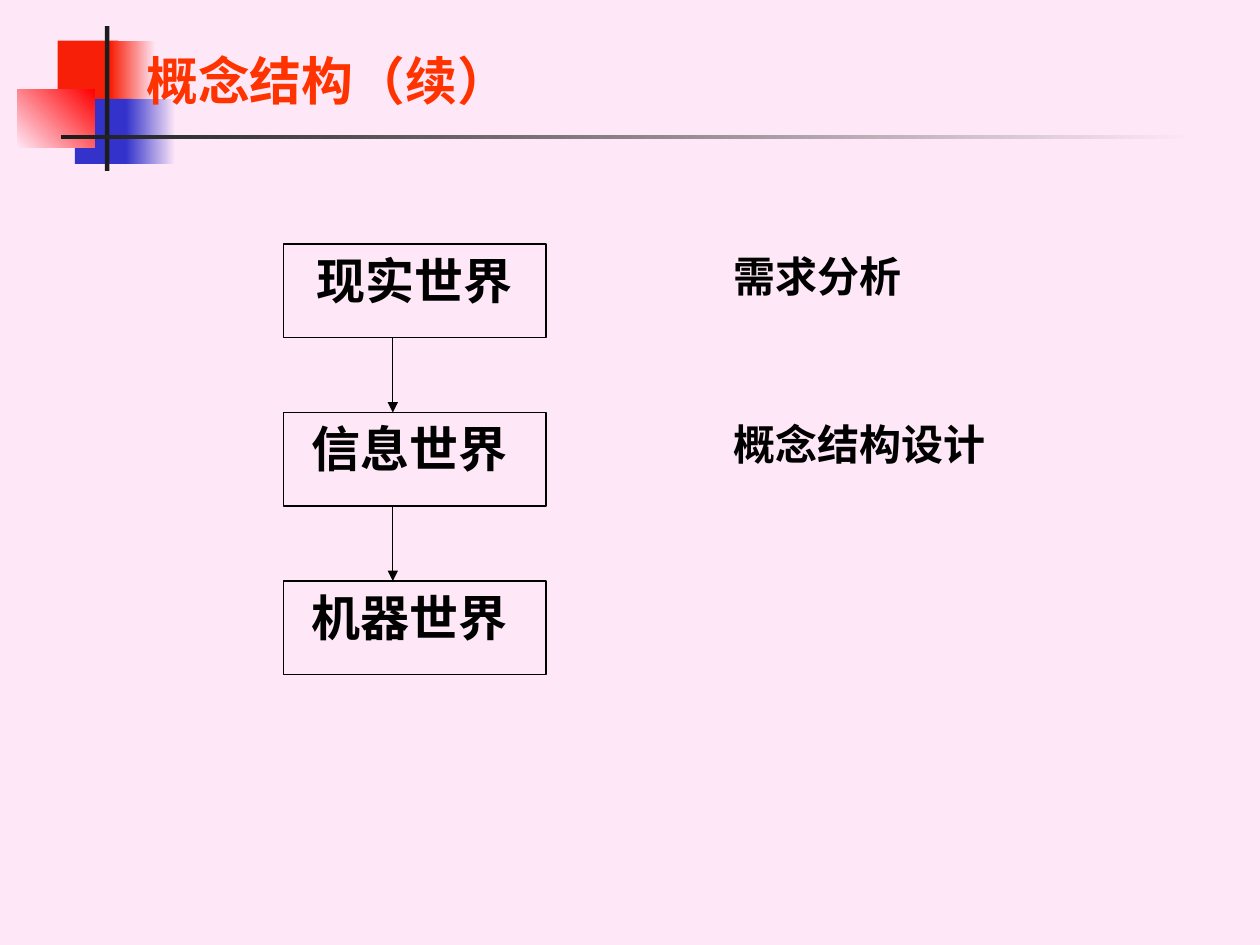
from dataclasses import dataclass

from lxml.etree import SubElement
from pptx import Presentation
from pptx.dml.color import RGBColor as Color
from pptx.enum.shapes import MSO_CONNECTOR as Connector, MSO_SHAPE as Shape
from pptx.enum.text import MSO_ANCHOR as Anchor, PP_ALIGN as Align
from pptx.oxml.ns import qn
from pptx.util import Pt


@dataclass(frozen=True)
class Theme:
    """Colours, fonts and type sizes of the slide."""
    background: str = "FEE8F7"
    scarlet: str = "F81F08"
    red: str = "FF0000"
    blue: str = "3333CC"
    dark: str = "1C1C1C"
    title: str = "FF3300"
    ink: str = "000000"
    title_font: str = "Arial"
    body_font: str = "Times New Roman"
    title_size: float = 29.6
    box_size: float = 28
    note_size: float = 24
    line_width: float = 0.75


THEME = Theme()
BOX_LEFT, BOX_TOP, BOX_WIDTH, BOX_HEIGHT = 162, 139.5, 150, 53.5
ROW_STEP = 96.25
ARROW_X = 224.5
NOTE_LEFT, NOTE_HEIGHT = 412, 42.5
WORLDS = ["现实世界", "信息世界 ", "机器世界 "]
NOTES = [("需求分析", 137.5), ("概念结构设计", 212.5)]


def color(value):
    """Turn a hex string into a colour."""
    return Color.from_string(value)


def write_text(shape, text, *, size, font=THEME.body_font, ink=THEME.ink,
               align=Align.LEFT, anchor=Anchor.TOP, spacing=None):
    """Fill a shape with one bold paragraph."""
    frame = shape.text_frame
    frame.word_wrap = True
    frame.vertical_anchor = anchor
    paragraph = frame.paragraphs[0]
    paragraph.alignment = align
    paragraph.line_spacing = spacing
    run = paragraph.add_run()
    run.text = text
    run.font.name = font
    run.font.size = Pt(size)
    run.font.bold = True
    run.font.color.rgb = color(ink)


def add_text(slide, text, left, top, width, height, **style):
    """Add a text box."""
    box = slide.shapes.add_textbox(Pt(left), Pt(top), Pt(width), Pt(height))
    write_text(box, text, **style)


def add_rectangle(slide, left, top, width, height):
    """Add a rectangle without shadow."""
    shape = slide.shapes.add_shape(
        Shape.RECTANGLE, Pt(left), Pt(top), Pt(width), Pt(height))
    shape.shadow.inherit = False
    return shape


def add_block(slide, bounds, *colors, angle=0):
    """Add a borderless block in one colour or a two-colour gradient."""
    shape = add_rectangle(slide, *bounds)
    shape.line.fill.background()
    if len(colors) == 1:
        shape.fill.solid()
        shape.fill.fore_color.rgb = color(colors[0])
        return
    shape.fill.gradient()
    shape.fill.gradient_angle = angle
    for stop, value in zip(shape.fill.gradient_stops, colors):
        stop.color.rgb = color(value)


def add_world(slide, text, top):
    """Add an outlined box naming one world."""
    shape = add_rectangle(slide, BOX_LEFT, top, BOX_WIDTH, BOX_HEIGHT)
    shape.fill.background()
    shape.line.color.rgb = color(THEME.ink)
    shape.line.width = Pt(THEME.line_width)
    write_text(shape, text, size=THEME.box_size, align=Align.CENTER)


def add_arrow(slide, x, top, bottom):
    """Add a downward arrow."""
    arrow = slide.shapes.add_connector(
        Connector.STRAIGHT, Pt(x), Pt(top), Pt(x), Pt(bottom))
    arrow.line.color.rgb = color(THEME.ink)
    arrow.line.width = Pt(THEME.line_width)
    SubElement(arrow.line._get_or_add_ln(), qn("a:tailEnd"), type="triangle")
    SubElement(arrow._element.spPr, qn("a:effectLst"))


def add_ornament(slide):
    """Add the coloured blocks and the two rules beside the title."""
    pale = THEME.background
    add_block(slide, (33, 23.25, 34.5, 37.25), THEME.scarlet)
    add_block(slide, (63.25, 23.25, 25.75, 37.25), THEME.scarlet, pale)
    add_block(slide, (42.75, 56.5, 33, 37.25), THEME.blue)
    add_block(slide, (72, 56.5, 28.5, 37.25), THEME.blue, pale)
    add_block(slide, (9.75, 51, 44.25, 33.5), pale, THEME.red, angle=45)
    add_block(slide, (60, 15, 2.5, 82.75), THEME.dark)
    add_block(slide, (34.75, 77, 648, 2.25), THEME.dark, pale)


def main():
    """Build and save the slide."""
    presentation = Presentation()
    presentation.slide_width, presentation.slide_height = Pt(720), Pt(540)
    slide = presentation.slides.add_slide(presentation.slide_layouts[6])
    slide.background.fill.solid()
    slide.background.fill.fore_color.rgb = color(THEME.background)

    add_ornament(slide)
    add_text(slide, "概念结构（续）", 76.5, 25.75, 581.75, 44.75,
             size=THEME.title_size, font=THEME.title_font, ink=THEME.title,
             anchor=Anchor.MIDDLE, spacing=0.9)

    tops = [BOX_TOP + row * ROW_STEP for row in range(len(WORLDS))]
    for world, top in zip(WORLDS, tops):
        add_world(slide, world, top)
    for top, next_top in zip(tops, tops[1:]):
        add_arrow(slide, ARROW_X, top + BOX_HEIGHT, next_top)
    for (note, width), top in zip(NOTES, tops):
        add_text(slide, note, NOTE_LEFT, top, width, NOTE_HEIGHT,
                 size=THEME.note_size, align=Align.JUSTIFY)

    presentation.save("out.pptx")


if __name__ == "__main__":
    main()
